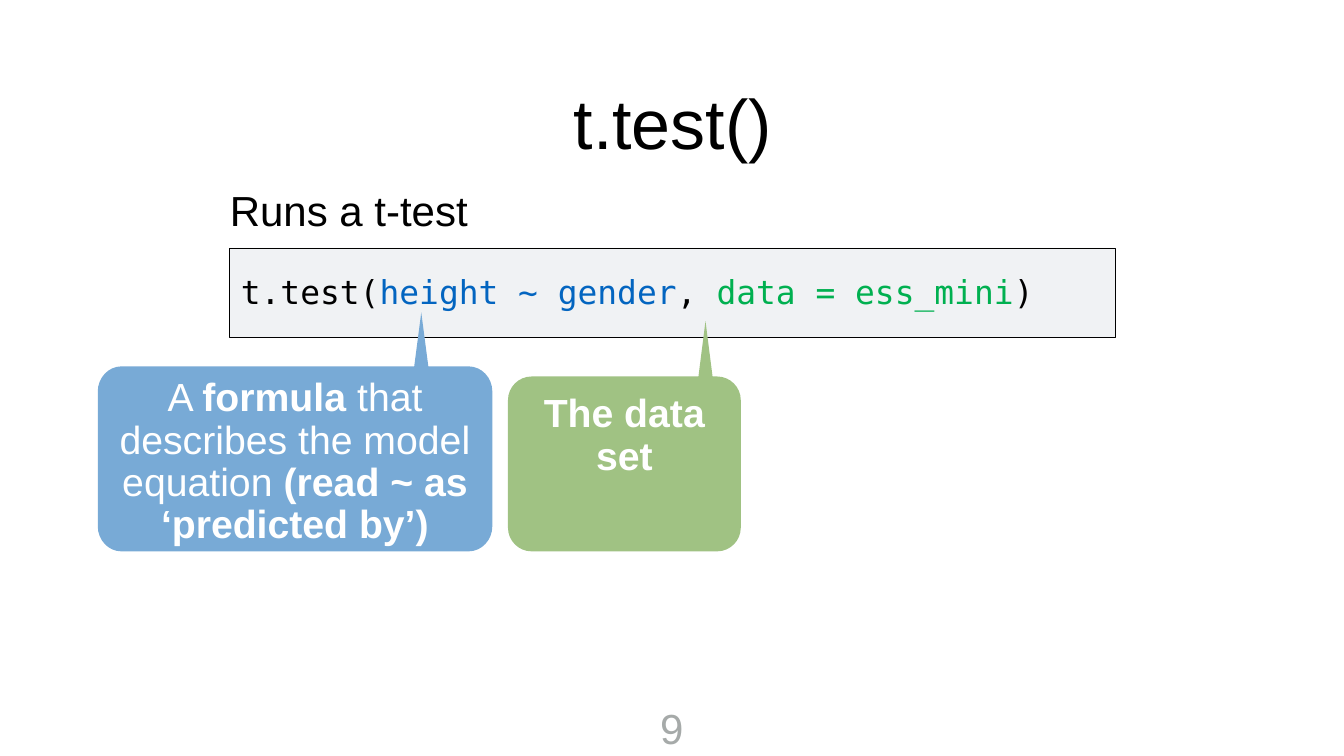
from dataclasses import dataclass
from typing import NamedTuple

from lxml import etree
from pptx import Presentation
from pptx.dml.color import RGBColor
from pptx.enum.shapes import MSO_SHAPE
from pptx.enum.text import MSO_ANCHOR, MSO_AUTO_SIZE, PP_ALIGN
from pptx.oxml.ns import qn
from pptx.util import Inches, Pt

RECTANGLE = MSO_SHAPE.RECTANGLE
TOP, MIDDLE, BOTTOM = MSO_ANCHOR.TOP, MSO_ANCHOR.MIDDLE, MSO_ANCHOR.BOTTOM
LEFT, CENTER = PP_ALIGN.LEFT, PP_ALIGN.CENTER
FIXED, GROW = MSO_AUTO_SIZE.NONE, MSO_AUTO_SIZE.SHAPE_TO_FIT_TEXT
ARC_HANDLE = 0.55  # Bézier handle length of a quarter circle, per radius


@dataclass(frozen=True)
class Theme:
    sans: str = "Arial"
    mono: str = "DejaVu Sans Mono"
    ink: str = "000000"
    paper: str = "FFFFFF"
    panel: str = "F0F2F4"
    formula_code: str = "0365C0"
    data_code: str = "00B050"
    formula_box: str = "78AAD6"
    data_box: str = "A0C283"
    page_grey: str = "A6AAA9"
    title_size: float = 100
    body_size: float = 60
    callout_size: float = 56
    code_size: float = 47


THEME = Theme()


class Box(NamedTuple):
    left: float
    top: float
    width: float
    height: float


class Run(NamedTuple):
    text: str
    color: str = THEME.ink
    bold: bool = False


class TextStyle(NamedTuple):
    size: float
    font: str = THEME.sans
    align: PP_ALIGN = LEFT
    anchor: MSO_ANCHOR = TOP
    inset: float = 0.06
    line_spacing: float | None = None
    wrap: bool = True
    auto_size: MSO_AUTO_SIZE = FIXED


class Callout(NamedTuple):
    body: Box
    radius_y: float
    tip: tuple[float, float]
    fill: str
    anchor: MSO_ANCHOR
    runs: list[Run]


def write_text(sp, runs: list[Run], style: TextStyle) -> None:
    tf = sp.text_frame
    tf.word_wrap = style.wrap
    tf.auto_size = style.auto_size
    tf.vertical_anchor = style.anchor
    tf.margin_left = tf.margin_right = Inches(style.inset)
    tf.margin_top = tf.margin_bottom = Inches(style.inset)
    p = tf.paragraphs[0]
    p.alignment = style.align
    p.line_spacing = style.line_spacing
    for run in runs:
        r = p.add_run()
        r.text = run.text
        r.font.name = style.font
        r.font.size = Pt(style.size)
        r.font.bold = run.bold
        r.font.color.rgb = RGBColor.from_string(run.color)


def add_text(s, box: Box, runs: list[Run], style: TextStyle) -> None:
    sp = s.shapes.add_textbox(*map(Inches, box))
    write_text(sp, runs, style)


def add_code_panel(s, box: Box) -> None:
    sp = s.shapes.add_shape(RECTANGLE, *map(Inches, box))
    sp.shadow.inherit = False
    sp.fill.solid()
    sp.fill.fore_color.rgb = RGBColor.from_string(THEME.panel)
    sp.line.color.rgb = RGBColor.from_string(THEME.ink)
    sp.line.width = Pt(1)


def callout_outline(callout: Callout, radius_x: float = 0.47,
                    half_base: float = 0.14) -> list[tuple[float, float]]:
    """Tail tip first, then counterclockwise with each corner cut by a chord."""
    left, top, width, height = callout.body
    right, bottom = left + width, top + height
    near_x, far_x = left + radius_x, right - radius_x
    near_y, far_y = top + callout.radius_y, bottom - callout.radius_y
    tip_x = callout.tip[0]
    return [
        callout.tip, (tip_x - half_base, top),
        (near_x, top), (left, near_y),
        (left, far_y), (near_x, bottom),
        (far_x, bottom), (right, far_y),
        (right, near_y), (far_x, top),
        (tip_x + half_base, top),
    ]


def round_corners(sp) -> None:
    """Turn the four corner chords of a callout outline into Bézier curves."""
    segments = list(sp.element.iter(qn("a:lnTo")))
    ends = [(int(seg[0].get("x")), int(seg[0].get("y"))) for seg in segments]
    for corner, i in enumerate(range(2, 9, 2)):
        (x0, y0), (x1, y1) = ends[i - 1], ends[i]
        peak_x, peak_y = (x1, y0) if corner % 2 == 0 else (x0, y1)
        handles = [(x + ARC_HANDLE * (peak_x - x), y + ARC_HANDLE * (peak_y - y))
                   for x, y in ((x0, y0), (x1, y1))]
        curve = etree.Element(qn("a:cubicBezTo"))
        for x, y in [*handles, (x1, y1)]:
            etree.SubElement(curve, qn("a:pt"), x=str(round(x)), y=str(round(y)))
        segments[i].getparent().replace(segments[i], curve)


def add_callout(s, callout: Callout) -> None:
    points = [(Inches(x), Inches(y)) for x, y in callout_outline(callout)]
    builder = s.shapes.build_freeform(*points[0])
    builder.add_line_segments(points[1:], close=True)
    sp = builder.convert_to_shape()
    round_corners(sp)
    sp.shadow.inherit = False
    sp.fill.solid()
    sp.fill.fore_color.rgb = RGBColor.from_string(callout.fill)
    sp.line.fill.background()
    write_text(sp, callout.runs, TextStyle(
        THEME.callout_size, align=CENTER, anchor=callout.anchor, inset=0.08, line_spacing=0.9))


CODE = [
    Run("t.test("),
    Run("height ~ gender", THEME.formula_code),
    Run(", "),
    Run("data = ess_mini", THEME.data_code),
    Run(")"),
]

CALLOUTS = [
    Callout(Box(10.08, 7.47, 4.62, 3.47), 0.47, (14, 6.37), THEME.data_box, MIDDLE,
            [Run("The data set", THEME.paper, True)]),
    Callout(Box(1.94, 7.27, 7.83, 3.67), 0.5, (8.36, 6.2), THEME.formula_box, BOTTOM, [
        Run("A ", THEME.paper),
        Run("formula ", THEME.paper, True),
        Run("that describes the model equation ", THEME.paper),
        Run("(read ~ as ‘predicted by’)", THEME.paper, True),
    ]),
]


def main() -> None:
    prs = Presentation()
    prs.slide_width, prs.slide_height = Inches(26.67), Inches(15)
    s = prs.slides.add_slide(prs.slide_layouts[6])

    add_text(s, Box(4.4, 1.1, 17.9, 2.62), [Run("t.test()")],
             TextStyle(THEME.title_size, align=CENTER, anchor=MIDDLE))
    add_text(s, Box(4.5, 2.91, 15.03, 2.5), [Run("Runs a t-test")],
             TextStyle(THEME.body_size, anchor=MIDDLE))
    add_code_panel(s, Box(4.56, 4.92, 17.57, 1.77))
    add_text(s, Box(4.72, 5.33, 17.44, 1.15), CODE, TextStyle(THEME.code_size, THEME.mono))
    for callout in CALLOUTS:
        add_callout(s, callout)
    add_text(s, Box(12.78, 13.85, 1.1, 1.16), [Run("9", THEME.page_grey)],
             TextStyle(THEME.body_size, align=CENTER, inset=0.08, wrap=False, auto_size=GROW))

    prs.save("out.pptx")


if __name__ == "__main__":
    main()
